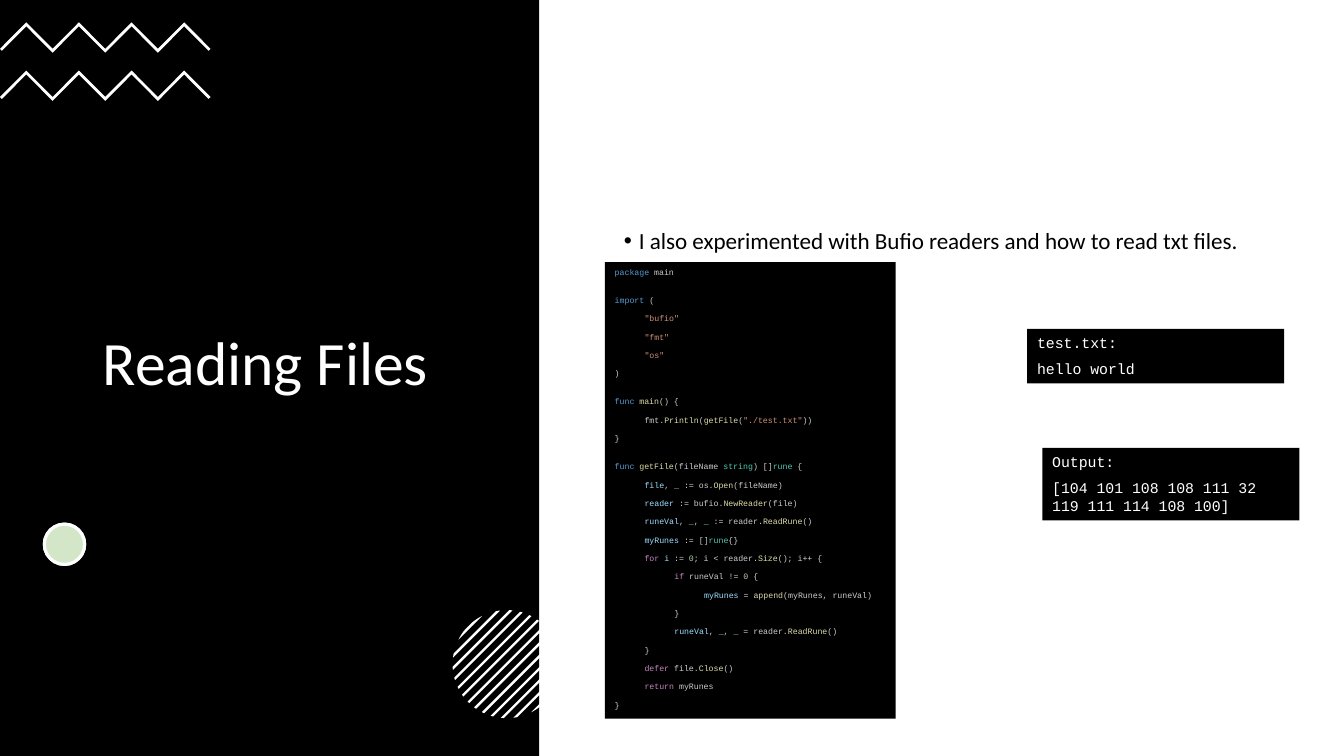
"""Build the Reading Files slide with its code listing, sample file and output."""
from dataclasses import dataclass
from math import acos, cos, pi, sin

from lxml import etree
from pptx import Presentation
from pptx.dml.color import RGBColor
from pptx.enum.shapes import MSO_SHAPE
from pptx.enum.text import MSO_ANCHOR, PP_ALIGN
from pptx.oxml.ns import qn
from pptx.util import Pt

RECT, OVAL = MSO_SHAPE.RECTANGLE, MSO_SHAPE.OVAL
TOP, MIDDLE, LEFT = MSO_ANCHOR.TOP, MSO_ANCHOR.MIDDLE, PP_ALIGN.LEFT

COLORS = {
    "black": "000000", "white": "FFFFFF", "green": "70AD47",
    "keyword": "569CD6", "control": "C586C0", "plain": "CCCCCC",
    "string": "CE9178", "func": "DCDCAA", "type": "4EC9B0",
    "var": "9CDCFE", "op": "D4D4D4", "number": "B5CEA8",
}
INDENT = 21.3
BLANK_LINE = 7


@dataclass
class Line:
    runs: list[tuple[str, str]]
    level: int = 0
    before: float = 0


@dataclass
class Block:
    box: tuple[float, float, float, float]
    lines: list[Line]
    size: float
    font: str
    fill: str | None = None
    anchor: int = TOP
    paragraph: dict | None = None
    bullet: bool = False


CODE = [
    Line([("keyword", "package"), ("plain", " main")]),
    Line([("keyword", "import"), ("plain", " (")], 0, BLANK_LINE),
    Line([("string", '"bufio"')], 1),
    Line([("string", '"fmt"')], 1),
    Line([("string", '"os"')], 1),
    Line([("plain", ")")]),
    Line([("keyword", "func "), ("func", "main"), ("plain", "() {")], 0, BLANK_LINE),
    Line([("plain", "fmt."), ("func", "Println"), ("plain", "("), ("func", "getFile"),
          ("plain", "("), ("string", '"./test.txt"'), ("plain", "))")], 1),
    Line([("plain", "}")]),
    Line([("keyword", "func "), ("func", "getFile"), ("plain", "(fileName "),
          ("type", "string"), ("plain", ") []"), ("type", "rune"), ("plain", " {")],
         0, BLANK_LINE),
    Line([("var", "file"), ("plain", ", "), ("var", "_ "), ("op", ":= "), ("plain", "os."),
          ("func", "Open"), ("plain", "(fileName)")], 1),
    Line([("var", "reader "), ("op", ":= "), ("plain", "bufio."),
          ("func", "NewReader"), ("plain", "(file)")], 1),
    Line([("var", "runeVal"), ("plain", ", "), ("var", "_"), ("plain", ", "), ("var", "_ "),
          ("op", ":= "), ("plain", "reader."), ("func", "ReadRune"), ("plain", "()")], 1),
    Line([("var", "myRunes "), ("op", ":="), ("plain", " []"),
          ("type", "rune"), ("plain", "{}")], 1),
    Line([("control", "for "), ("var", "i "), ("op", ":= "), ("number", "0"),
          ("plain", "; i "), ("op", "< "), ("plain", "reader."), ("func", "Size"),
          ("plain", "(); i"), ("op", "++"), ("plain", " {")], 1),
    Line([("control", "if "), ("plain", "runeVal "), ("op", "!= "),
          ("number", "0"), ("plain", " {")], 2),
    Line([("var", "myRunes "), ("op", "= "), ("func", "append"),
          ("plain", "(myRunes, runeVal)")], 3),
    Line([("plain", "}")], 2),
    Line([("var", "runeVal"), ("plain", ", "), ("var", "_"), ("plain", ", "), ("var", "_ "),
          ("op", "= "), ("plain", "reader."), ("func", "ReadRune"), ("plain", "()")], 2),
    Line([("plain", "}")], 1),
    Line([("control", "defer "), ("plain", "file."), ("func", "Close"), ("plain", "()")], 1),
    Line([("control", "return "), ("plain", "myRunes")], 1),
    Line([("plain", "}")]),
]

PROSE = {"line_spacing": 0.9}
MONO = {"space_after": Pt(6)}
BLOCKS = [
    Block((66.3, 94.3, 252, 333.4), [Line([("white", "Reading Files")])],
          44, "Calibri", anchor=MIDDLE, paragraph=PROSE),
    Block((438.5, 160.6, 489.6, 202.3),
          [Line([("black", "I also experimented with Bufio readers "
                           "and how to read txt files.")])],
          16.5, "Calibri", paragraph=PROSE, bullet=True),
    Block((432, 187.2, 207.7, 326.2), CODE, 5.9, "Courier New", "black", paragraph=MONO),
    Block((744.5, 319.9, 183.6, 51.8),
          [Line([("white", "Output:")]),
           Line([("white", "[104 101 108 108 111 32 119 111 114 108 100]")])],
          10.6, "Courier New", "black", paragraph=MONO),
    Block((733.7, 235, 183.6, 38.9),
          [Line([("white", "test.txt:")]), Line([("white", "hello world")])],
          10.6, "Courier New", "black", paragraph=MONO),
]


def rgb(name: str) -> RGBColor:
    return RGBColor.from_string(COLORS[name])


def paint(sp, fill: str, line: str | None = None) -> None:
    sp.shadow.inherit = False
    sp.fill.solid()
    sp.fill.fore_color.rgb = rgb(fill)
    if line:
        sp.line.color.rgb = rgb(line)
        sp.line.width = Pt(2.25)
    else:
        sp.line.fill.background()


def add_preset(s, kind: int, box: tuple, fill: str, line: str | None = None):
    sp = s.shapes.add_shape(kind, *map(Pt, box))
    paint(sp, fill, line)
    return sp


def add_outline(s, points: list[tuple[float, float]]) -> None:
    emu = [(Pt(x), Pt(y)) for x, y in points]
    builder = s.shapes.build_freeform(*emu[0], scale=1.0)
    builder.add_line_segments(emu[1:], close=True)
    paint(builder.convert_to_shape(), "white")


def add_zigzag(s, top: float) -> None:
    step, rise, weight, cap = 18.8, 18.9, 2.8, 1.4
    upper = [(step * i, top + rise * (i % 2 == 0)) for i in range(9)]
    lower = [(x, y + weight) for x, y in upper[1:-1]]
    (x0, y0), (x8, y8) = upper[0], upper[-1]
    add_outline(s, upper + [(x8 - cap, y8 + cap)] + lower[::-1] + [(x0 + cap, y0 + cap)])


def add_striped_disc(s, cx: float, cy: float, radius: float) -> None:
    pitch, half, steps = 6.26, 0.84, 6
    for k in range(-6, 7):
        start, end = (acos((k * pitch + side) / radius) for side in (-half, half))
        arc = [start + (end - start) * i / steps for i in range(steps + 1)]
        angles = arc + [-a for a in reversed(arc)]
        add_outline(s, [(cx + radius * cos(a + pi / 4), cy + radius * sin(a + pi / 4))
                        for a in angles])


def add_block(s, block: Block) -> None:
    if block.fill:
        sp = add_preset(s, RECT, block.box, block.fill)
    else:
        sp = s.shapes.add_textbox(*map(Pt, block.box))
    tf = sp.text_frame
    tf.word_wrap = True
    tf.vertical_anchor = block.anchor
    for i, line in enumerate(block.lines):
        p = tf.add_paragraph() if i else tf.paragraphs[0]
        formats = {"alignment": LEFT, "space_before": Pt(line.before)}
        for name, value in (formats | (block.paragraph or {})).items():
            setattr(p, name, value)
        pPr = p._p.get_or_add_pPr()
        pPr.set("marL", str(Pt(INDENT * line.level)))
        if block.bullet:
            pPr.set("marL", str(Pt(10.8)))
            pPr.set("indent", str(Pt(-10.8)))
            etree.SubElement(pPr, qn("a:buFont")).set("typeface", "Arial")
            etree.SubElement(pPr, qn("a:buChar")).set("char", "•")
        for color, text in line.runs:
            r = p.add_run()
            r.text = text
            for name, value in {"size": Pt(block.size), "name": block.font}.items():
                setattr(r.font, name, value)
            r.font.color.rgb = rgb(color)


def main() -> None:
    prs = Presentation()
    prs.slide_width, prs.slide_height = Pt(960), Pt(540)
    s = prs.slides.add_slide(prs.slide_layouts[6])
    add_preset(s, RECT, (0, 0, 385.2, 540), "black")
    for top in (16, 50.4):
        add_zigzag(s, top)
    for fill in ("white", "green"):
        dot = add_preset(s, OVAL, (31.7, 374.4, 28.8, 28.8), fill, "white")
    tint = dot.fill._xPr.find(qn("a:solidFill"))[0]
    etree.SubElement(tint, qn("a:alpha")).set("val", "30000")
    add_striped_disc(s, 361.9, 474.4, 38.6)
    for block in BLOCKS:
        add_block(s, block)
    prs.save("out.pptx")


if __name__ == "__main__":
    main()
